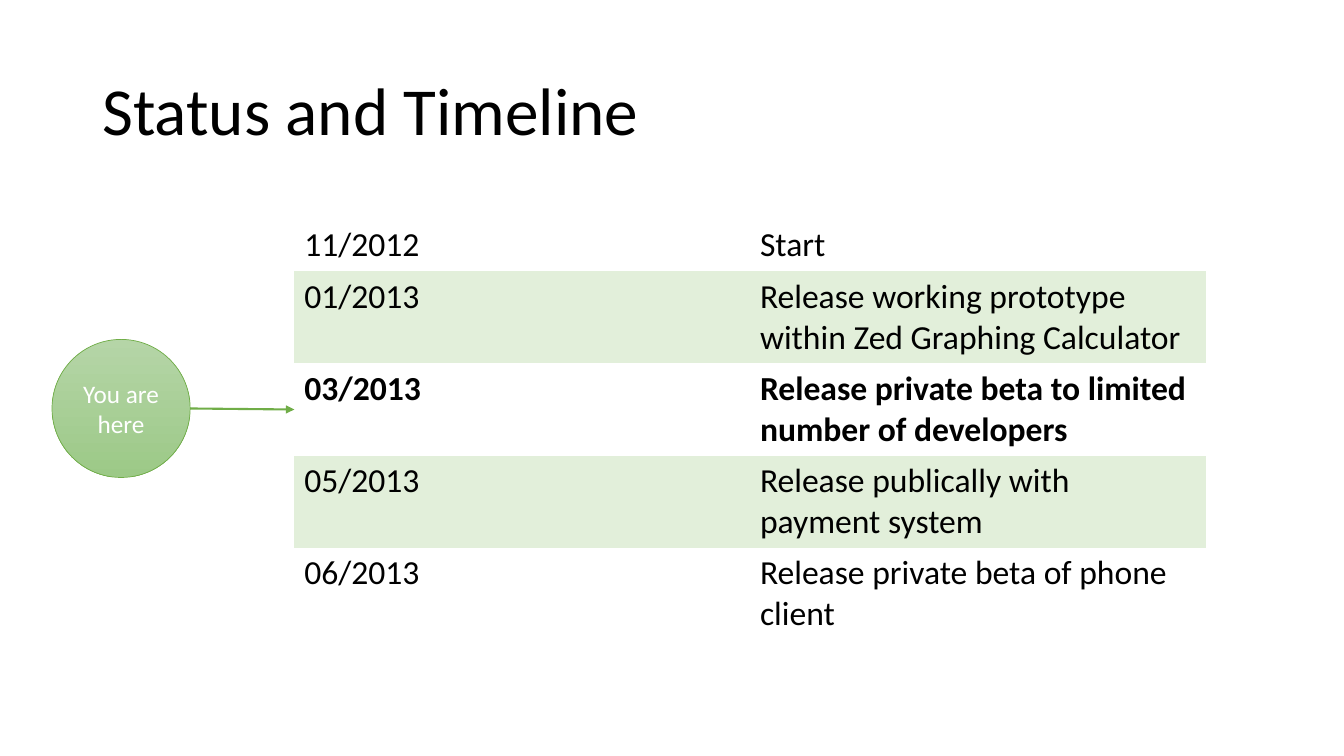
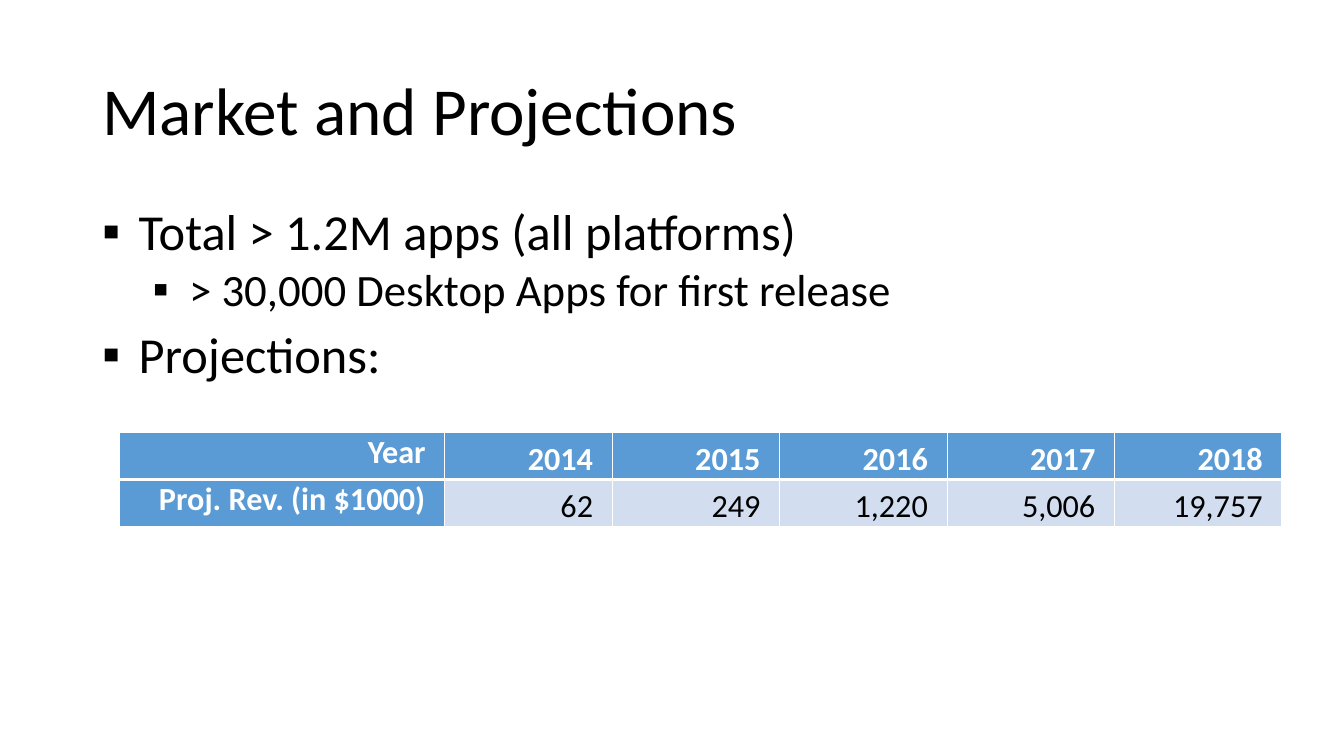
"""Build a two-slide deck with a release timeline and revenue projections."""
from dataclasses import dataclass
from typing import Optional

from lxml.etree import SubElement
from pptx import Presentation
from pptx.dml.color import RGBColor as RGB
from pptx.enum.shapes import MSO_CONNECTOR as CONN, MSO_SHAPE as SHAPE
from pptx.enum.text import MSO_ANCHOR as ANCHOR, PP_ALIGN as ALIGN
from pptx.oxml.ns import qn
from pptx.util import Emu, Inches, Pt


@dataclass(frozen=True)
class Theme:
    """Colours, font and type sizes of the deck."""
    font: str = "Calibri"
    black: str = "000000"
    white: str = "FFFFFF"
    green: str = "70AD47"
    pale_green: str = "E2EFDA"
    badge_top: str = "B5D5A7"
    badge_bottom: str = "9CC987"
    blue: str = "5B9BD5"
    pale_blue: str = "D2DEEF"
    title: int = 48
    body: int = 36
    sub_body: int = 32
    milestone: int = 24
    figure: int = 23
    badge: int = 18
    line_spacing: float = 0.9
    plain_table: str = "{2D5ABB26-0587-4C30-8999-92F81FD0307C}"


@dataclass(frozen=True)
class Area:
    """A rectangle in percent of the slide's width and height."""
    left: float
    top: float
    width: float
    height: float

    def emu(self) -> tuple:
        """Return left, top, width and height as lengths."""
        return x(self.left), y(self.top), x(self.width), y(self.height)


@dataclass(frozen=True)
class Bullet:
    """One bulleted line of body text."""
    text: str
    level: int = 0


@dataclass(frozen=True)
class Milestone:
    """One dated row of the timeline."""
    date: str
    event: str
    current: bool = False


@dataclass(frozen=True)
class Projection:
    """Projected revenue of one year."""
    year: str
    revenue: str


@dataclass(frozen=True)
class CellStyle:
    """Look of one table cell."""
    size: int
    color: str
    fill: Optional[str] = None
    bold: bool = False
    align: ALIGN = ALIGN.LEFT
    anchor: ANCHOR = ANCHOR.TOP


T = Theme()
SLIDE_W, SLIDE_H = Inches(13.33), Inches(7.5)
TITLE = Area(6.88, 5.33, 86.25, 19.33)
BODY = Area(6.88, 26.67, 86.25, 63.45)
BADGE = Area(3.87, 44.9, 10.28, 18.27)
TIMELINE_LEFT, TIMELINE_TOP, TIMELINE_COL = 21.9, 29.07, 33.9
ONE_LINE, TWO_LINES = 6.8, 12.2
REVENUE_LEFT, REVENUE_TOP, REVENUE_ROW = 8.88, 57.2, 6.22
LABEL_COL, YEAR_COL = 24.22, 12.46

MILESTONES = [
    Milestone("11/2012", "Start"),
    Milestone("01/2013", "Release working prototype within Zed Graphing Calculator"),
    Milestone("03/2013", "Release private beta to limited number of developers", True),
    Milestone("05/2013", "Release publically with payment system"),
    Milestone("06/2013", "Release private beta of phone client"),
]
BULLETS = [
    Bullet("Total > 1.2M apps (all platforms)"),
    Bullet("> 30,000 Desktop Apps for first release", 1),
    Bullet("Projections:"),
]
PROJECTIONS = [
    Projection("2014", "62"),
    Projection("2015", "249"),
    Projection("2016", "1,220"),
    Projection("2017", "5,006"),
    Projection("2018", "19,757"),
]


def x(share: float) -> Emu:
    """Turn a percentage of the slide width into a length."""
    return Emu(round(SLIDE_W * share / 100))


def y(share: float) -> Emu:
    """Turn a percentage of the slide height into a length."""
    return Emu(round(SLIDE_H * share / 100))


def add_run(p, text: str, size: int, color: str, bold: bool = False) -> None:
    """Append a styled run to a paragraph."""
    r = p.add_run()
    r.text = text
    r.font.name, r.font.size, r.font.bold = T.font, Pt(size), bold
    r.font.color.rgb = RGB.from_string(color)


def add_title(s, text: str) -> None:
    """Add the slide title."""
    tf = s.shapes.add_textbox(*TITLE.emu()).text_frame
    tf.word_wrap, tf.vertical_anchor = True, ANCHOR.MIDDLE
    p = tf.paragraphs[0]
    p.line_spacing = T.line_spacing
    add_run(p, text, T.title, T.black)


def add_bullets(s, bullets: list[Bullet]) -> None:
    """Add the bulleted body text."""
    tf = s.shapes.add_textbox(*BODY.emu()).text_frame
    tf.word_wrap = True
    for i, bullet in enumerate(bullets):
        p = tf.add_paragraph() if i else tf.paragraphs[0]
        p.level, p.line_spacing = bullet.level, T.line_spacing
        p.space_before = Pt(5 if bullet.level else 10)
        hang = Inches(0.36)
        pPr = p._p.get_or_add_pPr()
        pPr.set("marL", str(Inches(0.5) * bullet.level + hang))
        pPr.set("indent", str(-hang))
        SubElement(pPr, qn("a:buFont"), typeface=T.font)
        SubElement(pPr, qn("a:buChar"), char="▪")
        add_run(p, bullet.text, T.sub_body if bullet.level else T.body, T.black)


def add_grid(s, left: float, top: float, cols: list[float], rows: list[float]):
    """Add an unstyled table with the given column and row shares."""
    area = Area(left, top, sum(cols), sum(rows))
    frame = s.shapes.add_table(len(rows), len(cols), *area.emu())
    for style in frame.element.iter(qn("a:tableStyleId")):
        style.text = T.plain_table
    table = frame.table
    table.first_row = table.horz_banding = False
    for col, share in zip(table.columns, cols):
        col.width = x(share)
    for row, share in zip(table.rows, rows):
        row.height = y(share)
    return table


def fill_cell(cell, text: str, style: CellStyle) -> None:
    """Write and style one table cell."""
    if style.fill:
        cell.fill.solid()
        cell.fill.fore_color.rgb = RGB.from_string(style.fill)
    else:
        cell.fill.background()
    cell.vertical_anchor = style.anchor
    p = cell.text_frame.paragraphs[0]
    p.alignment = style.align
    add_run(p, text, style.size, style.color, style.bold)


def set_borders(cell, top: float, bottom: float) -> None:
    """Give a cell white borders, widths in points."""
    tcPr = cell._tc.get_or_add_tcPr()
    edges = {"lnL": 1, "lnR": 1, "lnT": top, "lnB": bottom}
    for i, (edge, width) in enumerate(edges.items()):
        ln = SubElement(tcPr, qn(f"a:{edge}"), w=str(Pt(width)))
        SubElement(SubElement(ln, qn("a:solidFill")), qn("a:srgbClr"), val=T.white)
        tcPr.insert(i, ln)


def add_timeline(s, milestones: list[Milestone]) -> float:
    """Add the milestone table and return the middle of the current row."""
    rows = [ONE_LINE] + [TWO_LINES] * (len(milestones) - 1)
    table = add_grid(s, TIMELINE_LEFT, TIMELINE_TOP, [TIMELINE_COL] * 2, rows)
    for i, m in enumerate(milestones):
        fill = T.pale_green if i % 2 else None
        style = CellStyle(T.milestone, T.black, fill, m.current)
        for j, text in enumerate((m.date, m.event)):
            fill_cell(table.cell(i, j), text, style)
    now = [m.current for m in milestones].index(True)
    return TIMELINE_TOP + sum(rows[:now]) + rows[now] / 2


def add_badge(s, text: str) -> None:
    """Add the round position marker."""
    sp = s.shapes.add_shape(SHAPE.OVAL, *BADGE.emu())
    sp.shadow.inherit = False
    sp.fill.gradient()
    sp.fill.gradient_angle = 270
    for stop, color in zip(sp.fill.gradient_stops, (T.badge_top, T.badge_bottom)):
        stop.color.rgb = RGB.from_string(color)
    sp.line.color.rgb, sp.line.width = RGB.from_string(T.green), Pt(0.5)
    tf = sp.text_frame
    tf.word_wrap, tf.vertical_anchor = True, ANCHOR.MIDDLE
    p = tf.paragraphs[0]
    p.alignment = ALIGN.CENTER
    add_run(p, text, T.badge, T.white)


def add_pointer(s, row_middle: float) -> None:
    """Add the arrow from the badge to the current row."""
    cx = s.shapes.add_connector(
        CONN.STRAIGHT,
        x(BADGE.left + BADGE.width), y(BADGE.top + BADGE.height / 2),
        x(TIMELINE_LEFT), y(row_middle))
    cx.line.color.rgb, cx.line.width = RGB.from_string(T.green), Pt(1.5)
    SubElement(cx.line._get_or_add_ln(), qn("a:tailEnd"), type="triangle")
    SubElement(cx.element.spPr, qn("a:effectLst"))


def add_projections(s, projections: list[Projection]) -> None:
    """Add the revenue table with one column per year."""
    cols = [LABEL_COL] + [YEAR_COL] * len(projections)
    table = add_grid(s, REVENUE_LEFT, REVENUE_TOP, cols, [REVENUE_ROW] * 2)
    lines = (["Year"] + [p.year for p in projections],
             ["Proj. Rev. (in $1000)"] + [p.revenue for p in projections])
    for i, line in enumerate(lines):
        for j, text in enumerate(line):
            head = i == 0 or j == 0
            style = CellStyle(
                T.figure, T.white if head else T.black,
                T.blue if head else T.pale_blue, head, ALIGN.RIGHT,
                ANCHOR.BOTTOM if j else ANCHOR.TOP)
            cell = table.cell(i, j)
            cell.margin_left = cell.margin_right = Inches(0.19)
            cell.margin_top = cell.margin_bottom = 0
            fill_cell(cell, text, style)
            set_borders(cell, top=3 if i else 1, bottom=1 if i else 3)


def add_slide(prs, title: str):
    """Add a blank slide with the shared title."""
    s = prs.slides.add_slide(prs.slide_layouts[6])
    add_title(s, title)
    return s


def main() -> None:
    """Build and save the deck."""
    prs = Presentation()
    prs.slide_width, prs.slide_height = SLIDE_W, SLIDE_H

    s = add_slide(prs, "Status and Timeline")
    row_middle = add_timeline(s, MILESTONES)
    add_pointer(s, row_middle)
    add_badge(s, "You are here")

    s = add_slide(prs, "Market and Projections")
    add_bullets(s, BULLETS)
    add_projections(s, PROJECTIONS)

    prs.save("out.pptx")


if __name__ == "__main__":
    main()
